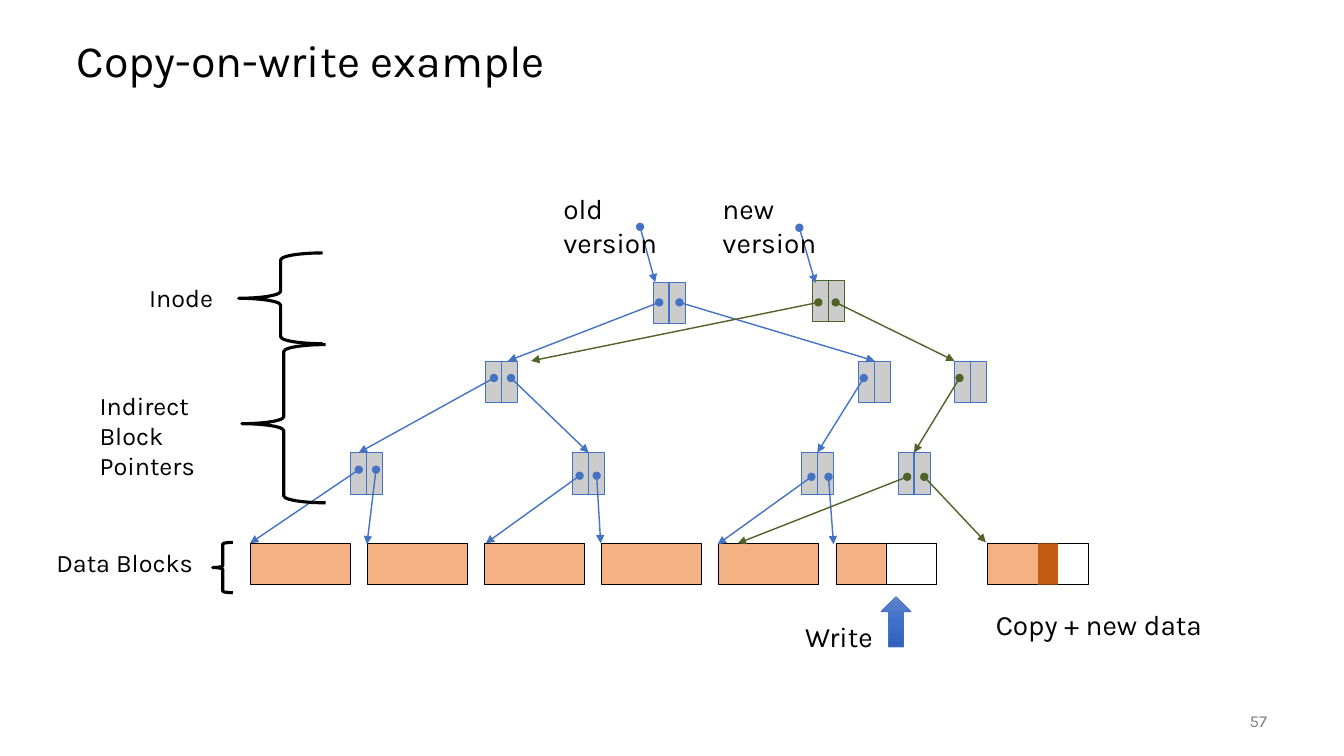
import copy

import pptx
import pptx.dml.color
import pptx.enum.shapes
import pptx.enum.text
import pptx.oxml
import pptx.oxml.ns
import pptx.util

Pt = pptx.util.Pt
RGB = pptx.dml.color.RGBColor.from_string
SHAPE = pptx.enum.shapes.MSO_SHAPE
STRAIGHT = pptx.enum.shapes.MSO_CONNECTOR.STRAIGHT
ALIGN = pptx.enum.text.PP_ALIGN
ANCHOR = pptx.enum.text.MSO_ANCHOR
qn = pptx.oxml.ns.qn

COLORS = {
    "black": "000000",
    "white": "FFFFFF",
    "page": "808080",
    "data": "F4B183",
    "new_data": "C55A11",
    "node": "CCCCCC",
    "old": "4472C4",
    "new": "4F6228",
}

prs = pptx.Presentation()
prs.slide_width, prs.slide_height = Pt(960), Pt(540)
slide = prs.slides.add_slide(prs.slide_layouts[5])
shapes = slide.shapes


def add_shape(kind, x, y, w, h, fill, line="black", width=0.5):
    sp = shapes.add_shape(kind, Pt(x), Pt(y), Pt(w), Pt(h))
    sp.shadow.inherit = False
    if fill:
        sp.fill.solid()
        sp.fill.fore_color.rgb = RGB(COLORS[fill])
    else:
        sp.fill.background()
    if line:
        sp.line.color.rgb = RGB(COLORS[line])
        sp.line.width = Pt(width)
    else:
        sp.line.fill.background()
    return sp


def add_line(x1, y1, x2, y2, color):
    c = shapes.add_connector(STRAIGHT, Pt(x1), Pt(y1), Pt(x2), Pt(y2))
    c.line.color.rgb = RGB(COLORS[color])
    c.line.width = Pt(1)
    pptx.oxml.ns.qn("a:effectLst")
    c._element.spPr.append(c._element.spPr.makeelement(qn("a:effectLst"), {}))
    return c


# Title
title = shapes.title
title.left, title.top, title.width, title.height = Pt(47.5), Pt(18), Pt(864), Pt(54)
title.text_frame.text = "Copy-on-write example"
title.text_frame.vertical_anchor = ANCHOR.MIDDLE
p = title.text_frame.paragraphs[0]
p.alignment = ALIGN.LEFT
p.line_spacing = 0.9
p.font.size = Pt(32)
p.font.name = "Karla"
p.font.color.rgb = RGB(COLORS["black"])

# Data blocks: six in place, then the copy
BLOCK_Y, BLOCK_W, BLOCK_H = 388.1, 71.5, 29.5
block_xs = [178.6 + 83.7 * i for i in range(6)] + [705.6]
for x in block_xs:
    add_shape(SHAPE.RECTANGLE, x, BLOCK_Y, BLOCK_W, BLOCK_H, "data")
for x in block_xs[5:]:
    add_shape(SHAPE.RECTANGLE, x + BLOCK_W / 2, BLOCK_Y, BLOCK_W / 2, BLOCK_H, "white")
add_shape(SHAPE.RECTANGLE, block_xs[6] + BLOCK_W / 2, BLOCK_Y, 14.4, BLOCK_H, "new_data", None)

# Pointer nodes, each split in two halves
NODES = {
    "old_inode": (466.6, 201.6, "old"),
    "new_inode": (580.3, 200.2, "new"),
    "left": (347, 257.8, "old"),
    "right": (613.4, 257.8, "old"),
    "right_copy": (681.8, 257.8, "old"),
    "leaf_1": (250.6, 323.3, "old"),
    "leaf_2": (409, 323.3, "old"),
    "leaf_3": (572.4, 323.3, "old"),
    "leaf_3_copy": (641.5, 323.3, "old"),
}
nodes = {}
for name, (x, y, color) in NODES.items():
    nodes[name] = add_shape(SHAPE.RECTANGLE, x, y, 22.8, 29.5, "node", color)
    divider = add_line(x + 11.4, y, x + 11.4, y + 29.5, color)
    divider.begin_connect(nodes[name], 0)
    divider.end_connect(nodes[name], 2)

# Pointers: start, end, and the node whose top middle they reach, if any
POINTERS = {
    "old": [
        (457.2, 162, 468, 201.6, None),
        (571, 162.7, 582.5, 202.3, None),
        (470.9, 216, 362.9, 257.8, None),
        (485.3, 216, 624.8, 257.8, "right"),
        (352.8, 270, 256.3, 323.3, None),
        (365, 270, 420.4, 323.3, "leaf_2"),
        (617, 270, 583.8, 323.3, "leaf_3"),
        (256.3, 335.5, 178.6, 388.1, None),
        (268.6, 335.5, 262.1, 388.8, None),
        (414, 339.8, 347, 388.1, None),
        (426.2, 339.8, 429.1, 388.1, None),
        (579.6, 340.6, 512.6, 388.8, None),
        (591.8, 340.6, 595.4, 388.8, None),
    ],
    "new": [
        (584.6, 216, 379.4, 257.8, None),
        (596.9, 216, 681.8, 257.8, None),
        (685.4, 270, 652.9, 323.3, "leaf_3_copy"),
        (648, 340.6, 527, 388.1, None),
        (660.2, 340.6, 704.2, 387.4, None),
    ],
}
for color, pointers in POINTERS.items():
    for x1, y1, x2, y2, target in pointers:
        pointer = add_line(x1, y1, x2, y2, color)
        if target:
            pointer.end_connect(nodes[target], 0)
        ln = pointer.line._get_or_add_ln()
        for tag, kind in (("a:headEnd", "oval"), ("a:tailEnd", "triangle")):
            ln.append(ln.makeelement(qn(tag), {"type": kind}))

# Write arrow
arrow = add_shape(SHAPE.UP_ARROW, 629.3, 426.2, 21.6, 36, "old", "old")
arrow.fill.gradient()
arrow.fill.gradient_angle = 270
stops = arrow._element.spPr.find(".//" + qn("a:gsLst"))
stops.append(copy.deepcopy(stops[0]))
for stop, position, color in zip(arrow.fill.gradient_stops, (0, 0.5, 1),
                                 ("6183CB", "3E70CA", "3062BB")):
    stop.position = position
    stop.color.rgb = RGB(color)

# Level braces
for x, y, w, h in ((170.6, 180.7, 59.8, 64.8), (172.8, 246.2, 59.8, 113), (151.9, 387.4, 14.4, 36)):
    add_shape(SHAPE.LEFT_BRACE, x, y, w, h, None, "black", 2.25)

# Labels: text, left, top, width, height, size, wrap
LABELS = [
    ("old version", 395.3, 133.2, 105.8, 31.5, 20, True),
    ("new version", 509, 133.2, 113.8, 31.5, 20, True),
    ("Write", 568.1, 439.2, 64.8, 31.5, 20, False),
    ("Copy + new data", 704.2, 430.6, 175, 31.5, 20, False),
    ("Inode", 99.4, 198, 61.2, 29, 18, False),
    ("Indirect Block Pointers", 64.1, 275, 124, 51, 18, True),
    ("Data Blocks", 33.1, 387.4, 114.5, 29, 18, False),
    ("57", 840.2, 500.4, 72, 28.8, 12, True),
]
for text, x, y, w, h, size, wrap in LABELS:
    tf = shapes.add_textbox(Pt(x), Pt(y), Pt(w), Pt(h)).text_frame
    tf.word_wrap = wrap
    tf.text = text
    p = tf.paragraphs[0]
    p.font.size = Pt(size)
    p.font.name = "Karla"
    p.font.color.rgb = RGB(COLORS["black"])
    if text == "57":
        tf.vertical_anchor = ANCHOR.MIDDLE
        p.alignment = ALIGN.RIGHT
        p.font.color.rgb = RGB(COLORS["page"])

prs.save("out.pptx")
